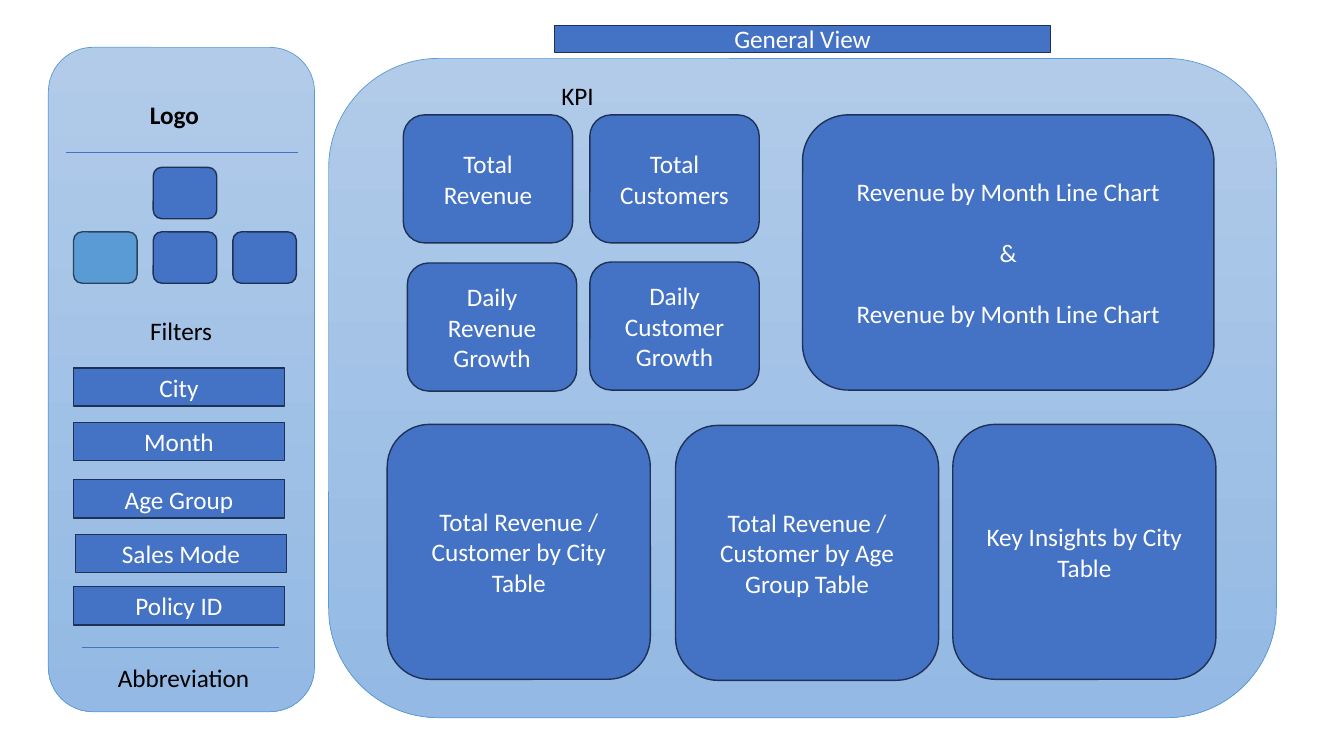
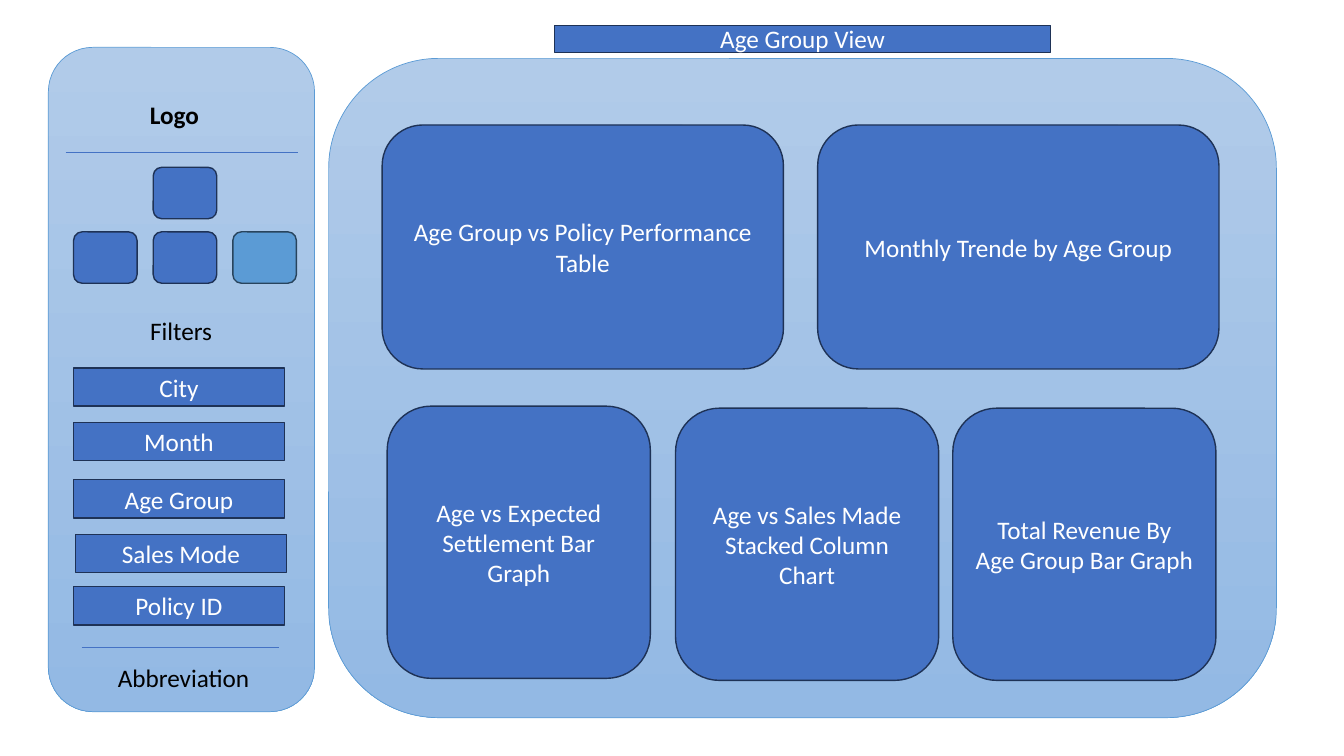
import dataclasses

import pptx
import pptx.dml.color
import pptx.enum.shapes
import pptx.enum.text
import pptx.oxml.ns
import pptx.util
from lxml import etree

Inches = pptx.util.Inches
Pt = pptx.util.Pt
RGBColor = pptx.dml.color.RGBColor
Shape = pptx.enum.shapes.MSO_SHAPE
Align = pptx.enum.text.PP_ALIGN
AutoSize = pptx.enum.text.MSO_AUTO_SIZE

BLUE = RGBColor(0x44, 0x72, 0xC4)
BLUE_EDGE = RGBColor(0x1E, 0x32, 0x56)
ACTIVE = RGBColor(0x5B, 0x9B, 0xD5)
ACTIVE_EDGE = RGBColor(0x28, 0x44, 0x5D)
PANEL_TOP = RGBColor(0xB1, 0xCB, 0xE9)
PANEL_BOTTOM = RGBColor(0x93, 0xB9, 0xE4)
WHITE = RGBColor(0xFF, 0xFF, 0xFF)
BLACK = RGBColor(0x00, 0x00, 0x00)
FONT = "Calibri"
TEXT_SIZE = 18
LINE_HEIGHT = 22


@dataclasses.dataclass(frozen=True)
class Box:
    """A rectangle in inches."""

    left: float
    top: float
    width: float
    height: float

    def inside(self, left, top, width, height):
        """Return a box placed relative to this one."""
        return Box(self.left + left, self.top + top, width, height)

    def lengths(self):
        """Return left, top, width and height as slide lengths."""
        return [Inches(value) for value in dataclasses.astuple(self)]


BANNER = Box(5.5, 0.25, 4.92, 0.27)
SIDEBAR = Box(0.48, 0.47, 2.64, 6.59)
BOARD = Box(3.26, 0.58, 9.4, 6.54)

NAV_LEFT, NAV_STEP = 0.25, 0.79
NAV_CELLS = {"left": (0, 1.83), "middle": (1, 1.83), "right": (2, 1.83), "top": (1, 1.19)}
FILTERS = (
    ("City", 0.25, 3.18),
    ("Month", 0.25, 3.72),
    ("Age Group", 0.25, 4.29),
    ("Sales Mode", 0.27, 4.83),
    ("Policy ID", 0.25, 5.35),
)
KPI_SIZE = (1.68, 1.27)
KPIS = (
    ("Total Revenue", 0.74, 0.56),
    ("Total Customers", 2.59, 0.56),
    ("Daily Customer Growth", 2.59, 2.02),
    ("Daily Revenue Growth", 0.78, 2.03),
)
BOTTOM_LEFTS = (0.58, 3.44, 6.19)
BOTTOM_WIDTH = 2.61


def write_text(frame, text, color=WHITE, bold=False, align=Align.CENTER, gap=0):
    """Write one paragraph per line of text, with a gap in points between them."""
    for index, line in enumerate(text.split("\n")):
        para = frame.add_paragraph() if index else frame.paragraphs[0]
        para.alignment = align
        para.space_before = Pt(gap if index else 0)
        span = para.add_run()
        span.text = line
        span.font.name = FONT
        span.font.size = Pt(TEXT_SIZE)
        span.font.bold = bold
        span.font.color.rgb = color


def paint(shape, fill=BLUE, edge=BLUE_EDGE):
    """Give a shape a solid fill and a thin outline."""
    shape.fill.solid()
    shape.fill.fore_color.rgb = fill
    shape.line.color.rgb = edge
    shape.line.width = Pt(1)


def add_block(page, box, text="", kind=Shape.ROUNDED_RECTANGLE, fill=BLUE, edge=BLUE_EDGE, gap=0):
    """Add a filled block with centred text."""
    shape = page.shapes.add_shape(kind, *box.lengths())
    shape.shadow.inherit = False
    paint(shape, fill, edge)
    if text:
        frame = shape.text_frame
        frame.word_wrap = True
        frame.vertical_anchor = pptx.enum.text.MSO_ANCHOR.MIDDLE
        write_text(frame, text, gap=gap)


def add_panel(page, box):
    """Add a rounded panel with a vertical gradient."""
    shape = page.shapes.add_shape(Shape.ROUNDED_RECTANGLE, *box.lengths())
    shape.shadow.inherit = False
    shape.fill.gradient()
    shape.fill.gradient_angle = 270
    for stop, color, position in zip(shape.fill.gradient_stops, (PANEL_TOP, PANEL_BOTTOM), (0, 1)):
        stop.color.rgb = color
        stop.position = position
    shape.line.color.rgb = ACTIVE
    shape.line.width = Pt(0.5)


def add_label(page, box, text, wrap=False, **style):
    """Add black text on a panel."""
    frame = page.shapes.add_textbox(*box.lengths()).text_frame
    frame.word_wrap = wrap
    frame.auto_size = AutoSize.SHAPE_TO_FIT_TEXT
    write_text(frame, text, color=BLACK, **style)


def add_rule(page, box):
    """Add a thin horizontal line along the top of a box."""
    left, top, width, _ = box.lengths()
    rule = page.shapes.add_connector(
        pptx.enum.shapes.MSO_CONNECTOR.STRAIGHT, left, top, left + width, top
    )
    rule.line.color.rgb = BLUE
    rule.line.width = Pt(0.5)
    etree.SubElement(rule._element.spPr, pptx.oxml.ns.qn("a:effectLst"))


def add_banner(page, box, text):
    """Turn the title placeholder into the banner."""
    title = page.shapes.title
    title.left, title.top, title.width, title.height = box.lengths()
    paint(title)
    frame = title.text_frame
    frame.word_wrap = True
    frame.auto_size = AutoSize.NONE
    frame.vertical_anchor = pptx.enum.text.MSO_ANCHOR.MIDDLE
    write_text(frame, text)


def add_sidebar(page, box, active):
    """Add the logo, navigation, filters and abbreviation."""
    add_panel(page, box)
    add_label(page, box.inside(0.67, 0.47, 1.16, 0.4), "Logo", wrap=True, bold=True)
    add_rule(page, box.inside(0.17, 1.04, 2.31, 0))
    for name, (column, top) in NAV_CELLS.items():
        colors = {"fill": ACTIVE, "edge": ACTIVE_EDGE} if name == active else {}
        add_block(page, box.inside(NAV_LEFT + column * NAV_STEP, top, 0.63, 0.51), **colors)
    add_label(page, box.inside(0.91, 2.61, 0.82, 0.4), "Filters", align=Align.LEFT)
    for text, left, top in FILTERS:
        add_block(page, box.inside(left, top, 2.09, 0.38), text, kind=Shape.RECTANGLE)
    add_rule(page, box.inside(0.33, 5.95, 1.96, 0))
    add_label(page, box.inside(0.59, 6.05, 1.52, 0.4), "Abbreviation", align=Align.LEFT)


def add_bottom_row(page, box, cards, height):
    """Add the three lower cards, given as text and top."""
    for left, (text, top) in zip(BOTTOM_LEFTS, cards):
        add_block(page, box.inside(left, top, BOTTOM_WIDTH, height), text)


def fill_general_board(page, box):
    """Add the indicators, the trend card and the city tables."""
    for text, left, top in KPIS:
        add_block(page, box.inside(left, top, *KPI_SIZE), text)
    trend = "Revenue by Month Line Chart"
    add_block(page, box.inside(4.7, 0.56, 4.08, 2.73), f"{trend}\n&\n{trend}", gap=LINE_HEIGHT)
    cards = (
        ("Total Revenue / Customer by City Table", 3.63),
        ("Total Revenue / Customer by Age Group Table", 3.64),
        ("Key Insights by City Table", 3.63),
    )
    add_bottom_row(page, box, cards, 2.53)
    add_label(page, box.inside(2.21, 0.17, 0.53, 0.4), "KPI", align=Align.LEFT)


def fill_age_board(page, box):
    """Add the age group cards."""
    top_cards = ("Age Group vs Policy Performance Table", "Monthly Trende by Age Group")
    for column, text in enumerate(top_cards):
        add_block(page, box.inside(0.53 + column * 4.32, 0.66, 3.98, 2.42), text)
    cards = (
        ("Age vs Expected Settlement Bar Graph", 3.45),
        ("Age vs Sales Made Stacked Column Chart", 3.47),
        ("Total Revenue By Age Group Bar Graph", 3.47),
    )
    add_bottom_row(page, box, cards, 2.7)


def add_view(deck, title, active, fill_board):
    """Add one dashboard slide."""
    page = deck.slides.add_slide(deck.slide_layouts[5])
    add_banner(page, BANNER, title)
    add_sidebar(page, SIDEBAR, active)
    add_panel(page, BOARD)
    fill_board(page, BOARD)


def main():
    """Build and save the deck."""
    deck = pptx.Presentation()
    deck.slide_width = Inches(13.33)
    deck.slide_height = Inches(7.5)
    add_view(deck, "General View", "left", fill_general_board)
    add_view(deck, "Age Group View", "right", fill_age_board)
    deck.save("out.pptx")


if __name__ == "__main__":
    main()
